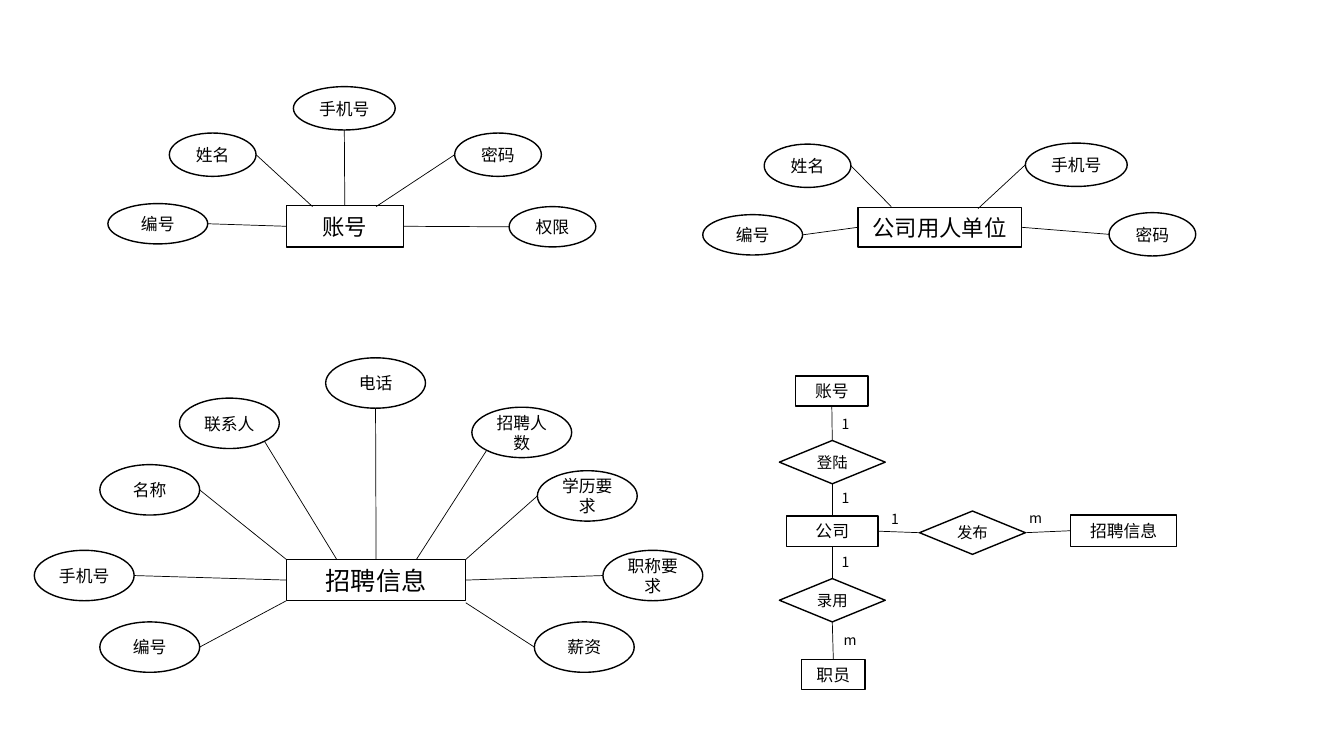
import pptx
import pptx.util
import pptx.dml.color
import pptx.enum.shapes
import pptx.enum.text
import pptx.oxml.ns
import lxml.etree

SHAPE = pptx.enum.shapes.MSO_SHAPE
TOP, LEFT, BOTTOM, RIGHT = range(4)
ANCHORS = {
    "left": (0, 0.5),
    "right": (1, 0.5),
    "bottom": (0.5, 1),
    "bottom left": (0.15, 0.85),
    "bottom right": (0.85, 0.85),
}

CLUSTERS = [
    ("账号", (2.84, 2.04, 1.16, 0.41), 16, [
        ("编号", (1.07, 2.02, 0.99, 0.4), "right", LEFT),
        ("姓名", (1.68, 1.32, 0.86, 0.43), "right", (3.1, 2.05)),
        ("手机号", (2.91, 0.86, 1.01, 0.43), "bottom", TOP),
        ("密码", (4.51, 1.32, 0.86, 0.43), "left", (3.73, 2.05)),
        ("权限", (5.05, 2.05, 0.86, 0.4), "left", RIGHT),
    ]),
    ("公司用人单位", (8.51, 2.06, 1.62, 0.39), 16, [
        ("编号", (6.97, 2.13, 0.99, 0.4), "right", LEFT),
        ("姓名", (7.58, 1.43, 0.86, 0.43), "right", (8.84, 2.05)),
        ("手机号", (10.17, 1.42, 1.01, 0.43), "left", (9.7, 2.07)),
        ("密码", (11, 2.11, 0.86, 0.43), "left", RIGHT),
    ]),
    ("招聘信息", (2.84, 5.55, 1.78, 0.41), 18, [
        ("编号", (0.99, 6.17, 0.99, 0.5), "right", (2.84, 5.96)),
        ("手机号", (0.34, 5.46, 0.99, 0.5), "right", LEFT),
        ("名称", (0.99, 4.61, 0.99, 0.5), "right", (2.84, 5.55)),
        ("联系人", (1.78, 3.95, 0.99, 0.5), "bottom right", (3.34, 5.55)),
        ("电话", (3.23, 3.55, 0.99, 0.5), "bottom", TOP),
        ("招聘人数", (4.68, 4.04, 0.99, 0.5), "bottom left", (4.13, 5.55)),
        ("学历要求", (5.33, 4.67, 0.99, 0.5), "left", (4.62, 5.55)),
        ("职称要求", (5.98, 5.46, 0.99, 0.5), "left", RIGHT),
        ("薪资", (5.3, 6.17, 0.99, 0.5), "left", (4.62, 5.98)),
    ]),
]

ENTITIES = [
    ("账号", (7.89, 3.73, 0.72, 0.3)),
    ("公司", (7.8, 5.12, 0.91, 0.3)),
    ("职员", (7.95, 6.54, 0.63, 0.3)),
    ("招聘信息", (10.62, 5.11, 1.05, 0.31)),
]
RELATIONS = [
    ("登陆", (7.73, 4.37, 1.05, 0.43)),
    ("录用", (7.73, 5.74, 1.05, 0.43)),
    ("发布", (9.12, 5.07, 1.05, 0.43)),
]
JOINS = [
    ("账号", BOTTOM, "登陆", TOP),
    ("登陆", BOTTOM, "公司", TOP),
    ("公司", BOTTOM, "录用", TOP),
    ("录用", BOTTOM, "职员", TOP),
    ("公司", RIGHT, "发布", LEFT),
    ("发布", RIGHT, "招聘信息", LEFT),
]
COUNTS = [
    ("1", (8.25, 4.07, 0.39, 0.27)),
    ("1", (8.25, 4.81, 0.39, 0.27)),
    ("1", (8.25, 5.44, 0.39, 0.27)),
    ("m", (8.27, 6.22, 0.36, 0.27)),
    ("1", (8.74, 5.02, 0.39, 0.27)),
    ("m", (10.11, 5.01, 0.36, 0.27)),
]


def color(value):
    return pptx.dml.color.RGBColor.from_string(value)


def inches(values):
    return [pptx.util.Inches(value) for value in values]


def apply(target, values):
    for name, value in values.items():
        setattr(target, name, value)


class Diagram:
    ink = "000000"
    paper = "FFFFFF"
    font = "Noto Sans CJK SC"
    node_frame = {
        "word_wrap": True,
        "vertical_anchor": pptx.enum.text.MSO_ANCHOR.MIDDLE,
        "margin_left": pptx.util.Inches(0.05),
        "margin_right": pptx.util.Inches(0.05),
        "margin_top": 0,
        "margin_bottom": 0,
    }

    def __init__(self, page):
        self.page = page

    def add_text(self, box, text, size, align):
        para = box.text_frame.paragraphs[0]
        para.alignment = align
        span = para.add_run()
        span.text = text
        span.font.color.rgb = color(self.ink)
        apply(span.font, {"name": self.font, "size": pptx.util.Pt(size)})
        east_asian = lxml.etree.SubElement(
            span._r.get_or_add_rPr(), pptx.oxml.ns.qn("a:ea"))
        east_asian.set("typeface", self.font)

    def node(self, kind, text, place, size):
        box = self.page.shapes.add_shape(kind, *inches(place))
        box.shadow.inherit = False
        box.fill.solid()
        box.fill.fore_color.rgb = color(self.paper)
        box.line.color.rgb = color(self.ink)
        box.line.width = pptx.util.Pt(1)
        apply(box.text_frame, self.node_frame)
        self.add_text(box, text, size, pptx.enum.text.PP_ALIGN.CENTER)
        return box

    def label(self, text, place):
        box = self.page.shapes.add_textbox(*inches(place))
        box.text_frame.word_wrap = True
        self.add_text(box, text, 10, pptx.enum.text.PP_ALIGN.LEFT)

    def line(self, start=(0, 0), end=(0, 0)):
        link = self.page.shapes.add_connector(
            pptx.enum.shapes.MSO_CONNECTOR.STRAIGHT, *inches(start + end))
        link.line.color.rgb = color(self.ink)
        link.line.width = pptx.util.Pt(0.5)
        lxml.etree.SubElement(
            link._element.spPr, pptx.oxml.ns.qn("a:effectLst"))
        return link

    def cluster(self, name, place, size, attributes):
        entity = self.node(SHAPE.RECTANGLE, name, place, size)
        for text, oval, anchor, target in attributes:
            self.node(SHAPE.OVAL, text, oval, 12)
            left, top, width, height = oval
            across, down = ANCHORS[anchor]
            start = (left + across * width, top + down * height)
            if isinstance(target, tuple):
                self.line(start, target)
            else:
                self.line(start).end_connect(entity, target)

    def relations(self):
        nodes = {}
        for name, place in ENTITIES:
            nodes[name] = self.node(SHAPE.RECTANGLE, name, place, 12)
        for name, place in RELATIONS:
            nodes[name] = self.node(SHAPE.DIAMOND, name, place, 11)
        for source, source_side, target, target_side in JOINS:
            link = self.line()
            link.begin_connect(nodes[source], source_side)
            link.end_connect(nodes[target], target_side)
        for text, place in COUNTS:
            self.label(text, place)


def main():
    deck = pptx.Presentation()
    deck.slide_width, deck.slide_height = inches((13.33, 7.5))
    diagram = Diagram(deck.slides.add_slide(deck.slide_layouts[6]))
    for cluster in CLUSTERS:
        diagram.cluster(*cluster)
    diagram.relations()
    deck.save("out.pptx")


if __name__ == "__main__":
    main()
